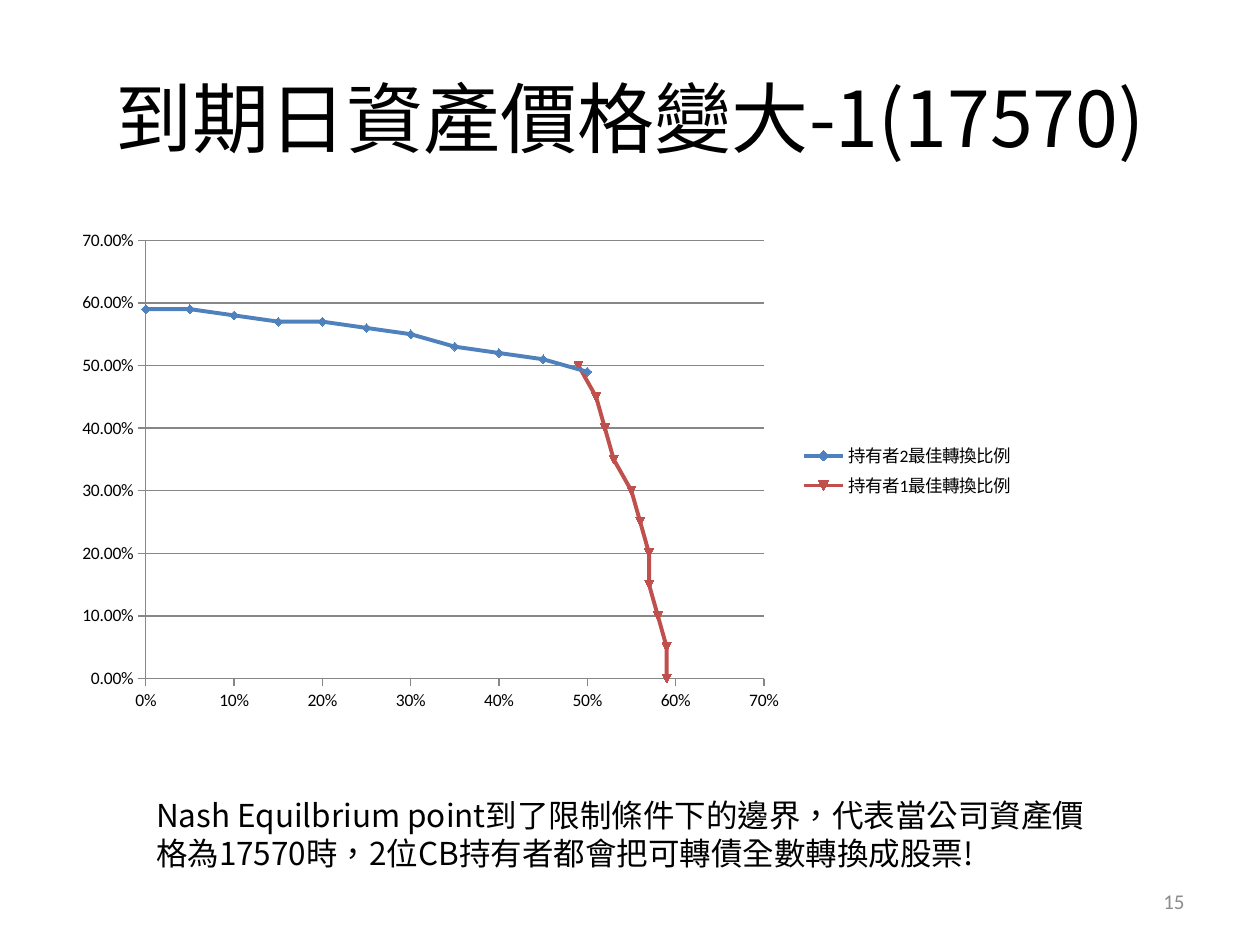
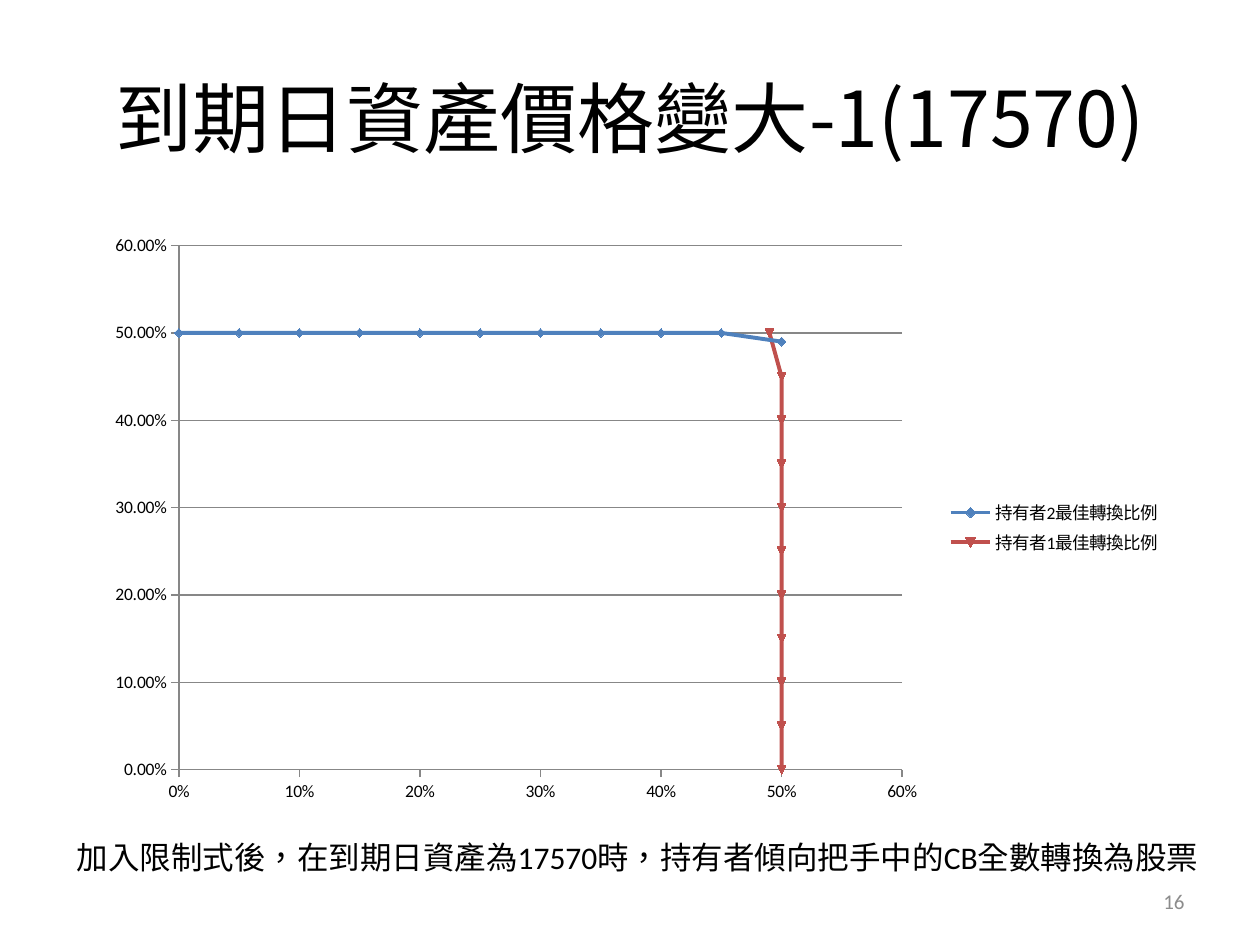
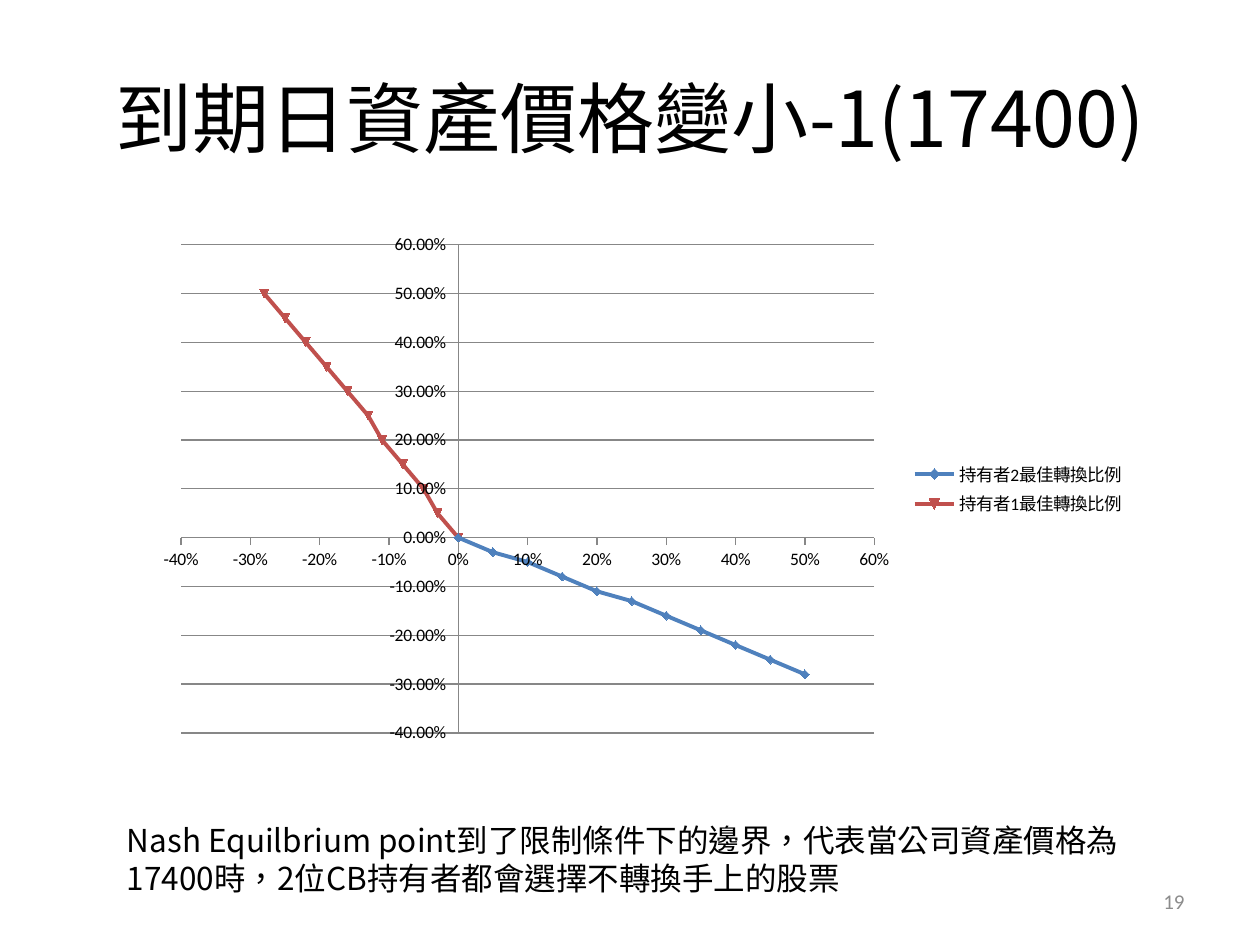
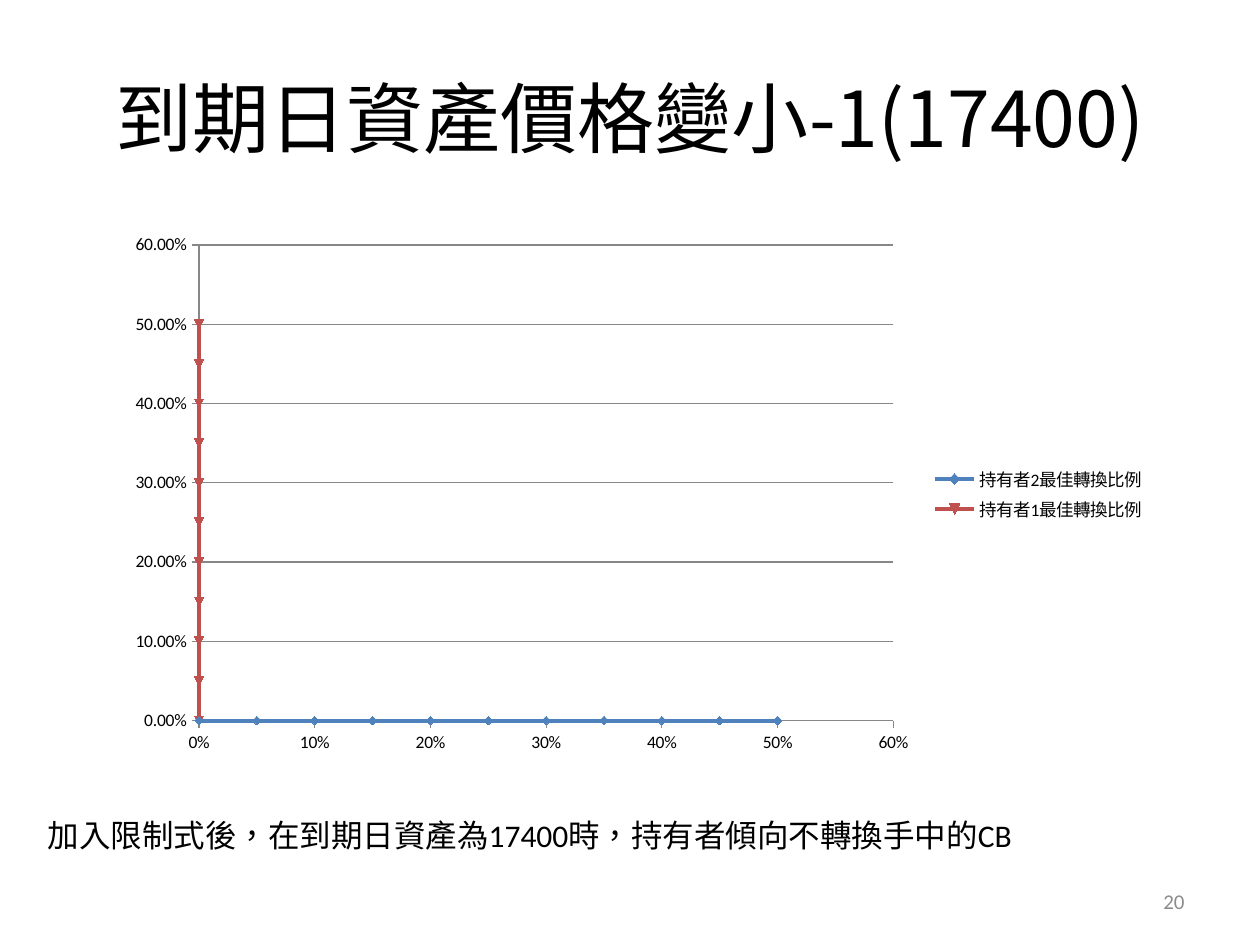
from lxml import etree
from pptx import Presentation
from pptx import util as u
from pptx.chart.data import XyChartData
from pptx.dml.color import RGBColor
from pptx.enum import chart as charts, lang, text
from pptx.oxml import ns

BLACK = RGBColor(0x00, 0x00, 0x00)
FOOTER_GRAY = RGBColor(0x8C, 0x8C, 0x8C)
AXIS_GRAY = RGBColor(0x87, 0x87, 0x87)
BLUE = RGBColor(0x4F, 0x81, 0xBD)
RED = RGBColor(0xC0, 0x50, 0x4D)

LATIN = "Calibri"
CHINESE = "Noto Sans CJK SC"

PX = 9144  # EMU; 100 px to the inch
SLIDE_SIZE = (1000, 750)
TITLE_BOX = (50, 30, 900, 125)
NUMBER_BOX = (717, 695, 233, 40)

SMOOTH = charts.XL_CHART_TYPE.XY_SCATTER_SMOOTH
STRAIGHT = charts.XL_CHART_TYPE.XY_SCATTER_LINES

STEPS = [step * 5 / 100 for step in range(11)]  # 0% to 50% held by the other side
LARGE_TITLE = "到期日資產價格變大-1(17570)"
SMALL_TITLE = "到期日資產價格變小-1(17400)"

SLIDES = [
    dict(
        title=LARGE_TITLE, number=15, caption_box=(114, 627, 764, 71), caption_font=CHINESE,
        caption="Nash Equilbrium point到了限制條件下的邊界，代表當公司資產價格為17570時，"
                "2位CB持有者都會把可轉債全數轉換成股票!",
        chart=dict(
            box=(50, 175, 765, 397), kind=SMOOTH, limits=(0, 0.7),
            response=[0.59, 0.59, 0.58, 0.57, 0.57, 0.56, 0.55, 0.53, 0.52, 0.51, 0.49]),
    ),
    dict(
        title=LARGE_TITLE, number=16, caption_box=(51, 660, 919, 40), caption_font=LATIN,
        caption="加入限制式後，在到期日資產為17570時，持有者傾向把手中的CB全數轉換為股票",
        chart=dict(
            box=(75, 178, 859, 468), kind=STRAIGHT, limits=(0, 0.6),
            response=[0.5] * 10 + [0.49],
            plot_box=(67, 17, 574, 416), legend_corner=(675, 215)),
    ),
    dict(
        title=SMALL_TITLE, number=19, caption_box=(91, 647, 850, 71), caption_font=CHINESE,
        caption="Nash Equilbrium point到了限制條件下的邊界，代表當公司資產價格為17400時，"
                "2位CB持有者都會選擇不轉換手上的股票",
        chart=dict(
            box=(114, 178, 789, 420), kind=SMOOTH, limits=(-0.4, 0.6),
            response=[0, -0.03, -0.05, -0.08, -0.11, -0.13, -0.16, -0.19, -0.22, -0.25,
                      -0.28]),
    ),
    dict(
        title=SMALL_TITLE, number=20, caption_box=(28, 643, 793, 40), caption_font=LATIN,
        caption="加入限制式後，在到期日資產為17400時，持有者傾向不轉換手中的CB",
        chart=dict(box=(91, 178, 828, 428), kind=SMOOTH, limits=(0, 0.6), response=[0] * 11),
    ),
]


def emu(box):
    return [length * PX for length in box]


def write(frame, words, size=18, font=CHINESE, color=BLACK,
          align=text.PP_ALIGN.LEFT, anchor=text.MSO_ANCHOR.TOP):
    frame.word_wrap = True
    frame.vertical_anchor = anchor
    paragraph = frame.paragraphs[0]
    paragraph.alignment = align
    run = paragraph.add_run()
    run.text = words
    run.font.size = u.Pt(size)
    run.font.name = font
    run.font.color.rgb = color
    run.font.language_id = lang.MSO_LANGUAGE_ID.TRADITIONAL_CHINESE
    east_asian = etree.SubElement(run.font._element, ns.qn("a:ea"))
    east_asian.set("typeface", CHINESE)


def rule_line(line, color=AXIS_GRAY, width=0.75):
    line.color.rgb = color
    line.width = u.Pt(width)


def manual_layout(box, chart_box, inner=False):
    """Return a c:layout placing box, in px from the chart's corner."""
    layout = etree.Element(ns.qn("c:layout"))
    manual = etree.SubElement(layout, ns.qn("c:manualLayout"))
    settings = [("layoutTarget", "inner")] if inner else []
    settings += [("xMode", "edge"), ("yMode", "edge")]
    settings += [(side, str(round(length / chart_box[2 + index % 2], 4)))
                 for index, (side, length) in enumerate(zip("xywh", box))]
    for tag, value in settings:
        etree.SubElement(manual, ns.qn("c:" + tag)).set("val", value)
    return layout


class Deck:
    """Holds the presentation, its shared style and the current slide."""

    def __init__(self):
        self.presentation = Presentation()
        self.presentation.slide_width, self.presentation.slide_height = emu(SLIDE_SIZE)
        self.slide = None

    def start_slide(self, title, number):
        layout = self.presentation.slide_layouts.get_by_name("Title Only")
        self.slide = self.presentation.slides.add_slide(layout)
        shape = self.slide.shapes.title
        shape.left, shape.top, shape.width, shape.height = emu(TITLE_BOX)
        write(shape.text_frame, title, size=44, align=text.PP_ALIGN.CENTER,
              anchor=text.MSO_ANCHOR.MIDDLE)
        self.text_box(NUMBER_BOX, str(number), size=12, font=LATIN, color=FOOTER_GRAY,
                      align=text.PP_ALIGN.RIGHT, anchor=text.MSO_ANCHOR.MIDDLE)

    def text_box(self, box, words, **style):
        shape = self.slide.shapes.add_textbox(*emu(box))
        write(shape.text_frame, words, **style)

    def response_chart(self, box, kind, limits, response, plot_box=None, legend_corner=None):
        """Plot each holder's best response against the other's conversion ratio."""
        data = XyChartData()
        curves = [("持有者2最佳轉換比例", STEPS, response),
                  ("持有者1最佳轉換比例", response, STEPS)]
        for name, across, up in curves:
            series = data.add_series(name)
            for point in zip(across, up):
                series.add_data_point(*point)
        chart = self.slide.shapes.add_chart(kind, *emu(box), data).chart
        chart.has_title = False
        chart.font.size = u.Pt(10)
        chart.font.name = LATIN
        chart.font.color.rgb = BLACK
        chart.has_legend = True
        chart.legend.position = charts.XL_LEGEND_POSITION.RIGHT
        chart.legend.include_in_layout = False
        chart.plots[0].vary_by_categories = False

        for series, color in zip(chart.plots[0].series, (BLUE, RED)):
            series.smooth = kind == SMOOTH
            rule_line(series.format.line, color, 2.25)
            series.marker.format.fill.solid()
            series.marker.format.fill.fore_color.rgb = color
            rule_line(series.marker.format.line, color)

        for axis, number_format in ((chart.category_axis, "0%"), (chart.value_axis, "0.00%")):
            axis.minimum_scale, axis.maximum_scale = limits
            axis.major_unit = 0.1
            axis.major_tick_mark = charts.XL_TICK_MARK.OUTSIDE
            axis.minor_tick_mark = charts.XL_TICK_MARK.NONE
            axis.tick_labels.number_format = number_format
            axis.tick_labels.number_format_is_linked = False
            axis.has_major_gridlines = False
            rule_line(axis.format.line)
        chart.value_axis.has_major_gridlines = True
        rule_line(chart.value_axis.major_gridlines.format.line)

        if plot_box:
            plot_area = chart._chartSpace.find(".//" + ns.qn("c:plotArea"))
            self.place(plot_area, 0, manual_layout(plot_box, box, inner=True))
        if legend_corner:
            self.place(chart.legend._element, 1, manual_layout(legend_corner, box))

    def place(self, element, position, layout):
        """Put the layout into a chart part instead of the one it has."""
        for old in element.findall(ns.qn("c:layout")):
            element.remove(old)
        element.insert(position, layout)


def main():
    deck = Deck()
    for page in SLIDES:
        deck.start_slide(page["title"], page["number"])
        deck.response_chart(**page["chart"])
        deck.text_box(page["caption_box"], page["caption"], font=page["caption_font"])
    deck.presentation.save("out.pptx")


if __name__ == "__main__":
    main()
